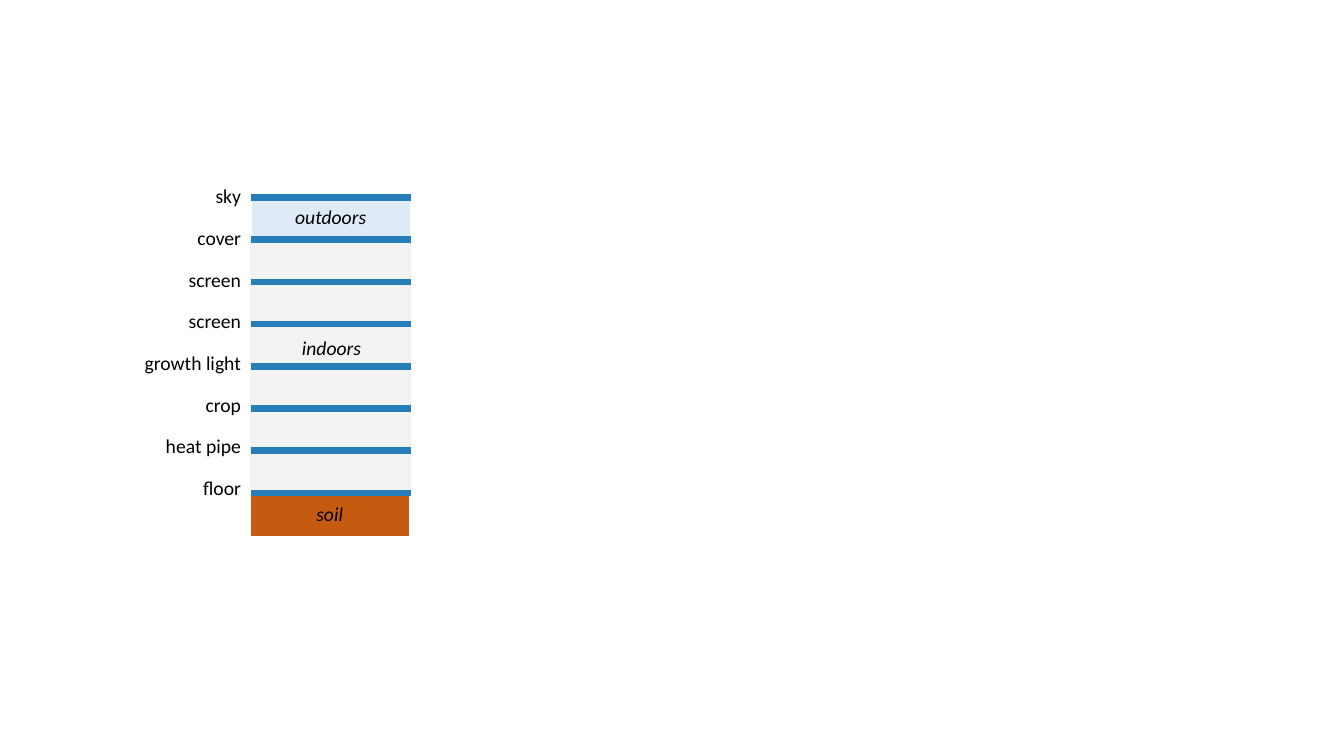
from dataclasses import dataclass

from lxml.etree import SubElement
from pptx import Presentation
from pptx.dml.color import RGBColor
from pptx.enum.shapes import MSO_CONNECTOR, MSO_SHAPE
from pptx.enum.text import MSO_ANCHOR, MSO_AUTO_SIZE, PP_ALIGN
from pptx.oxml.ns import qn
from pptx.util import Inches, Pt


@dataclass(frozen=True)
class Theme:
    font: str = "Calibri"
    text_size: float = 14
    outline_width: float = 1
    layer_width: float = 4.75
    text: str = "000000"
    white: str = "FFFFFF"
    soil: str = "C55A11"
    outdoors: str = "DEEBF7"
    indoors: str = "F2F2F2"
    layer: str = "257EB8"


THEME = Theme()

# Each layer's name and the width of its label
LAYERS = [
    ("sky", 0.46), ("cover", 0.64), ("screen", 0.73), ("screen", 0.73),
    ("growth light", 1.17), ("crop", 0.56), ("heat pipe", 0.96), ("floor", 0.58),
]
LABEL_HEIGHT = 0.34


def rgb(color):
    return RGBColor.from_string(color)


def write(tf, text, align, italic=False):
    p = tf.paragraphs[0]
    p.alignment = align
    r = p.add_run()
    r.text = text
    r.font.name = THEME.font
    r.font.size = Pt(THEME.text_size)
    r.font.italic = italic
    r.font.color.rgb = rgb(THEME.text)


def add_zone(s, left, top, width, height, fill, outline, text=None):
    sp = s.shapes.add_shape(MSO_SHAPE.RECTANGLE, Inches(left), Inches(top),
                            Inches(width), Inches(height))
    sp.shadow.inherit = False
    sp.fill.solid()
    sp.fill.fore_color.rgb = rgb(fill)
    sp.line.color.rgb = rgb(outline)
    sp.line.width = Pt(THEME.outline_width)
    if text:
        sp.text_frame.vertical_anchor = MSO_ANCHOR.MIDDLE
        write(sp.text_frame, text, PP_ALIGN.CENTER, italic=True)


def add_label(s, right, top, width, text, italic=False):
    sp = s.shapes.add_textbox(Inches(right - width), Inches(top),
                              Inches(width), Inches(LABEL_HEIGHT))
    tf = sp.text_frame
    tf.word_wrap = False
    tf.auto_size = MSO_AUTO_SIZE.SHAPE_TO_FIT_TEXT
    write(tf, text, PP_ALIGN.RIGHT, italic)


def add_layer_line(s, left, y, width):
    line = s.shapes.add_connector(MSO_CONNECTOR.STRAIGHT, Inches(left), Inches(y),
                                  Inches(left + width), Inches(y))
    line.line.color.rgb = rgb(THEME.layer)
    line.line.width = Pt(THEME.layer_width)
    SubElement(line._element.spPr, qn("a:effectLst"))


def add_zones(s, left, top, width):
    """Stack outdoors, indoors and soil downwards from top."""
    outer, inner = 0.46, 2.49
    add_zone(s, left - 0.01, top + outer + inner, width, outer,
             THEME.soil, THEME.white, "soil")
    add_zone(s, left, top, width, outer, THEME.outdoors, THEME.white, "outdoors")
    add_zone(s, left, top + outer, width, inner, THEME.indoors, THEME.indoors)


def add_layers(s, left, top, width, height):
    """Spread the layer lines evenly over the box, with labels to its left."""
    gaps = len(LAYERS) - 1
    label_top, label_span = top - 0.18, height - 0.04
    for i, (name, label_width) in enumerate(LAYERS):
        add_label(s, left, label_top + i * label_span / gaps, label_width, name)
        add_layer_line(s, left, top + i * height / gaps, width)


def add_greenhouse(s, left, top):
    add_zones(s, left, top, 1.58)
    add_layers(s, left, top + 0.04, 1.59, 2.93)
    add_label(s, left + 1.19, top + 1.36, 0.79, "indoors", italic=True)


def main():
    prs = Presentation()
    prs.slide_width, prs.slide_height = Inches(13.33), Inches(7.5)
    s = prs.slides.add_slide(prs.slide_layouts[6])
    s.background.fill.solid()
    s.background.fill.fore_color.rgb = rgb(THEME.white)
    add_greenhouse(s, 2.49, 1.92)
    prs.save("out.pptx")


if __name__ == "__main__":
    main()
